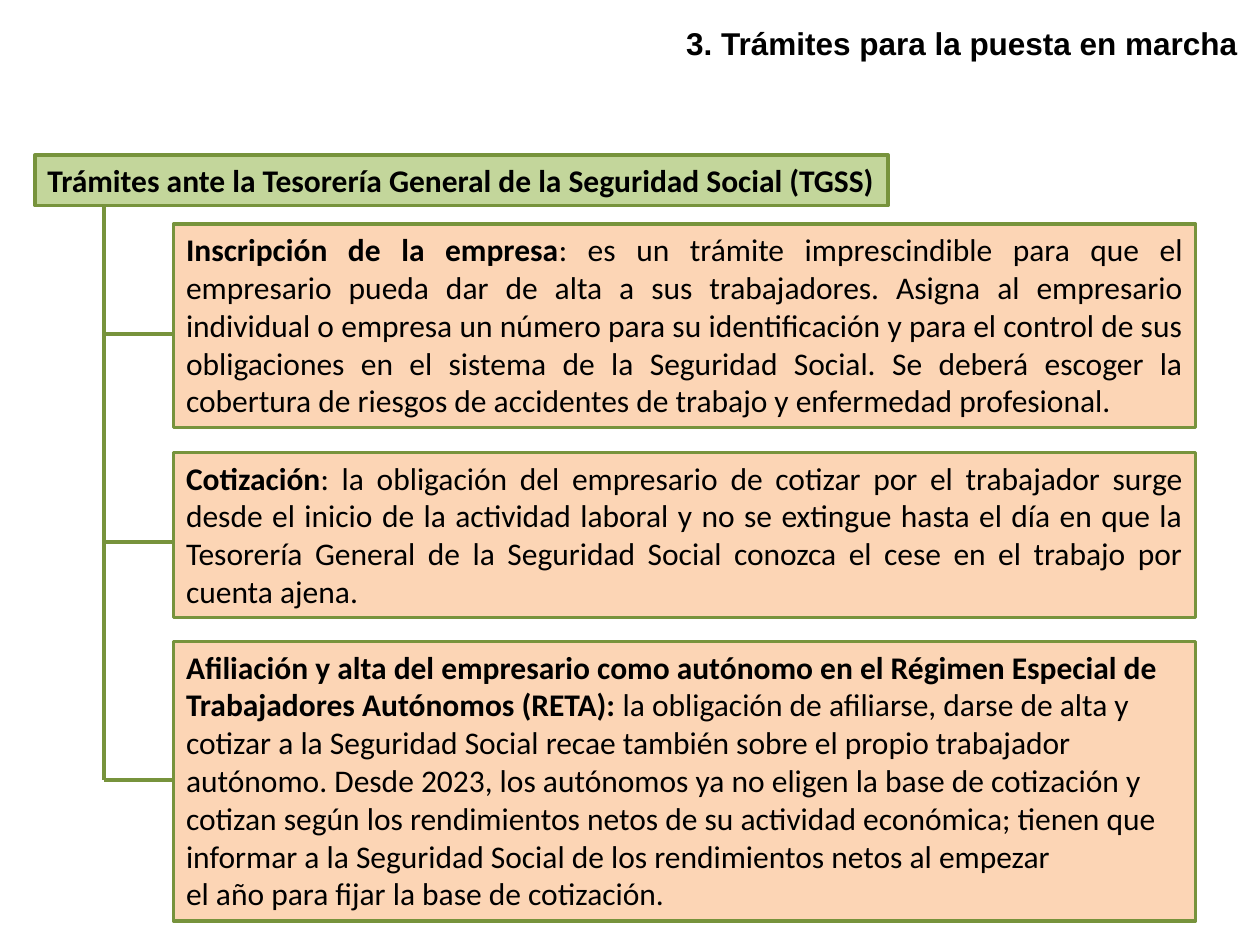
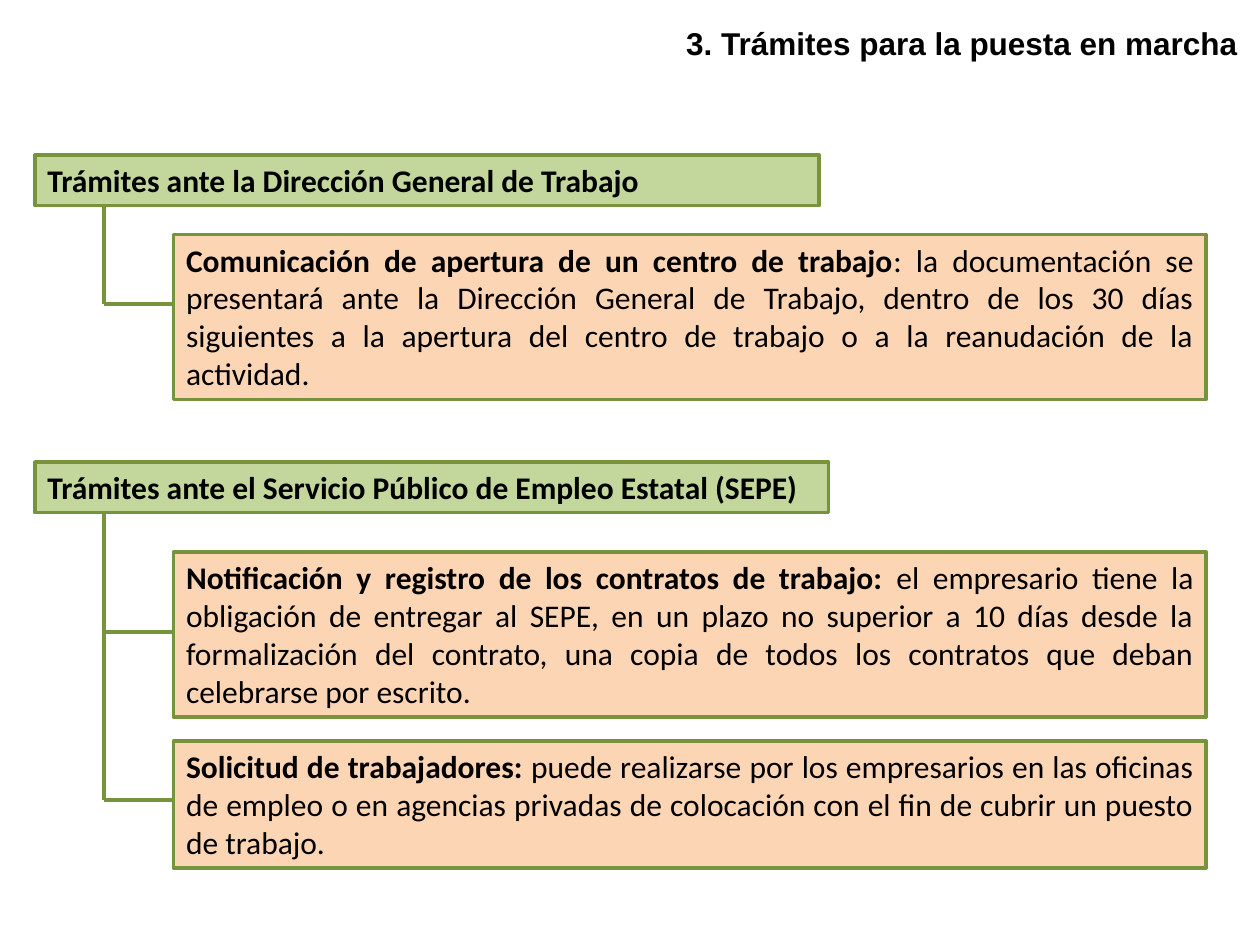
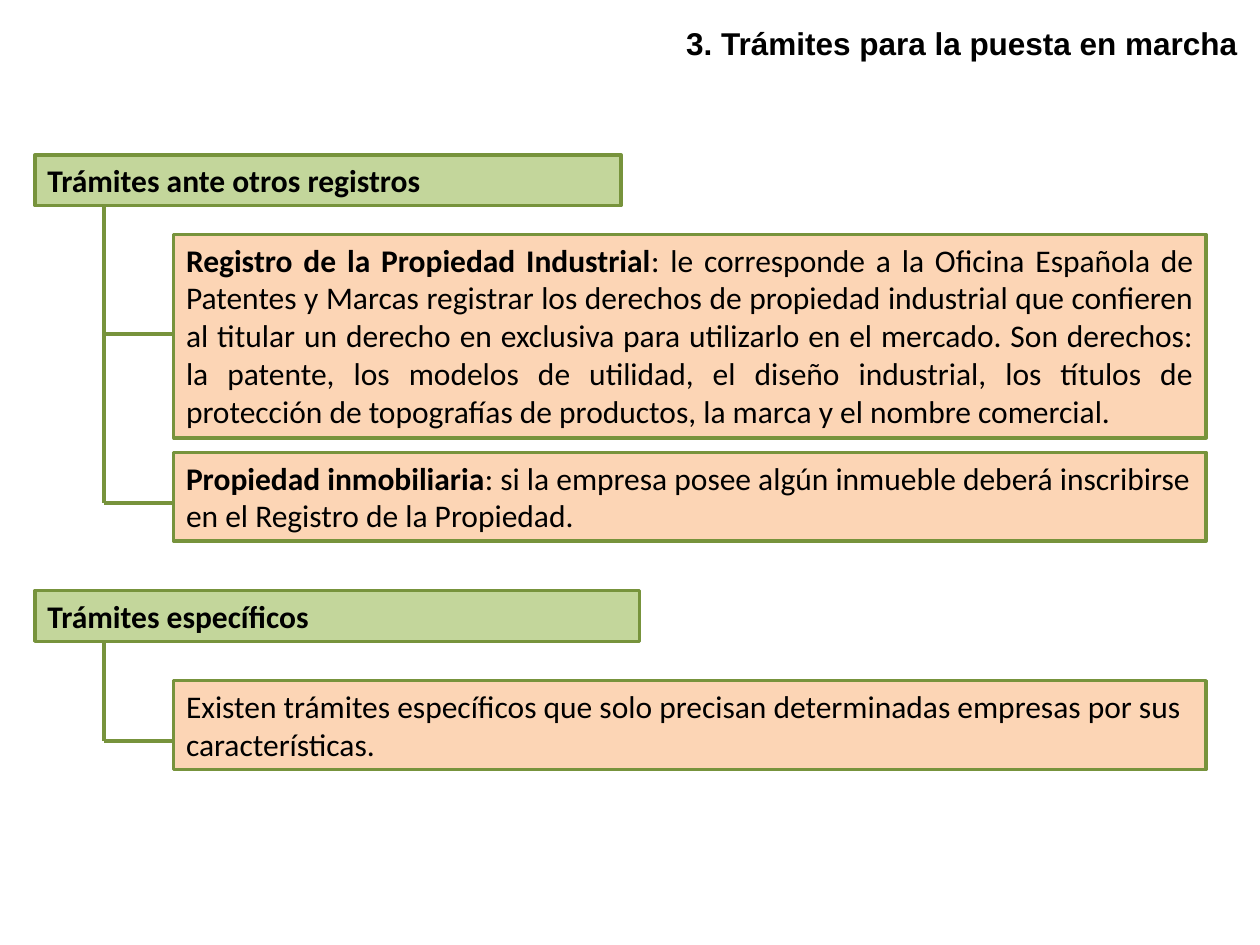
from dataclasses import dataclass

from lxml.etree import SubElement
from pptx import Presentation
from pptx.dml.color import RGBColor
from pptx.enum.shapes import MSO_CONNECTOR as Connector, MSO_SHAPE as Shape
from pptx.enum.text import MSO_ANCHOR as Anchor, MSO_AUTO_SIZE as AutoSize, PP_ALIGN as Align
from pptx.oxml.ns import qn
from pptx.slide import Slide
from pptx.text.text import Font, TextFrame
from pptx.util import Pt

COLORS = {
    "text": "000000",
    "heading": "C3D69B",
    "step": "FCD5B5",
    "border": "77933C",
}
TITLE = "3. Trámites para la puesta en marcha"
TITLE_FONT = "Arial"
BODY_FONT = "Calibri"
TEXT_SIZE = 18
LINE_HEIGHT = 21.8
VERTICAL_INSETS = 7.2
HEADING_LEFT = 20
TRUNK_X = 59.5
STEP_LEFT = 99.25


@dataclass(frozen=True)
class Step:
    top: float
    lines: int
    branch_y: float
    lead: str
    detail: str
    align: Align = Align.JUSTIFY


@dataclass(frozen=True)
class Procedure:
    top: float
    width: float
    heading: str
    steps: tuple[Step, ...]


@dataclass(frozen=True)
class Page:
    step_width: float
    procedures: tuple[Procedure, ...]


PAGES = (
    Page(584, (
        Procedure(88.5, 487.5, "Trámites ante la Tesorería General de la Seguridad Social (TGSS)", (
            Step(128, 5, 191, "Inscripción de la empresa",
                 ": es un trámite imprescindible para que el empresario pueda dar de alta a sus "
                 "trabajadores. Asigna al empresario individual o empresa un número para su "
                 "identificación y para el control de sus obligaciones en el sistema de la "
                 "Seguridad Social. Se deberá escoger la cobertura de riesgos de accidentes de "
                 "trabajo y enfermedad profesional."),
            Step(258.5, 4, 309.5, "Cotización",
                 ": la obligación del empresario de cotizar por el trabajador surge desde el "
                 "inicio de la actividad laboral y no se extingue hasta el día en que la "
                 "Tesorería General de la Seguridad Social conozca el cese en el trabajo por "
                 "cuenta ajena."),
            Step(366.5, 7, 445.5,
                 "Afiliación y alta del empresario como autónomo en el Régimen Especial de "
                 "Trabajadores Autónomos (RETA): ",
                 "la obligación de afiliarse, darse de alta y cotizar a la Seguridad Social "
                 "recae también sobre el propio trabajador autónomo. Desde 2023, los autónomos "
                 "ya no eligen la base de cotización y cotizan según los rendimientos netos de "
                 "su actividad económica; tienen que informar a la Seguridad Social de los "
                 "rendimientos netos al empezar\nel año para fijar la base de cotización.",
                 Align.LEFT),
        )),
    )),
    Page(590, (
        Procedure(88.5, 448, "Trámites ante la Dirección General de Trabajo", (
            Step(134, 4, 173.5, "Comunicación de apertura de un centro de trabajo",
                 ": la documentación se presentará ante la Dirección General de Trabajo, dentro "
                 "de los 30 días siguientes a la apertura del centro de trabajo o a la "
                 "reanudación de la actividad."),
        )),
        Procedure(264, 453.5, "Trámites ante el Servicio Público de Empleo Estatal (SEPE)", (
            Step(315.5, 4, 361, "Notificación y registro de los contratos de trabajo: ",
                 "el empresario tiene la obligación de entregar al SEPE, en un plazo no superior "
                 "a 10 días desde la formalización del contrato, una copia de todos los "
                 "contratos que deban celebrarse por escrito."),
            Step(423.5, 3, 457, "Solicitud de trabajadores: ",
                 "puede realizarse por los empresarios en las oficinas de empleo o en agencias "
                 "privadas de colocación con el fin de cubrir un puesto de trabajo."),
        )),
    )),
    Page(590, (
        Procedure(88.5, 335, "Trámites ante otros registros", (
            Step(134, 5, 191, "Registro de la Propiedad Industrial",
                 ": le corresponde a la Oficina Española de Patentes y Marcas registrar los "
                 "derechos de propiedad industrial que confieren al titular un derecho en "
                 "exclusiva para utilizarlo en el mercado. Son derechos: la patente, los modelos "
                 "de utilidad, el diseño industrial, los títulos de protección de topografías de "
                 "productos, la marca y el nombre comercial."),
            Step(258.5, 2, 287.5, "Propiedad inmobiliaria",
                 ": si la empresa posee algún inmueble deberá inscribirse en el Registro de la "
                 "Propiedad.", Align.LEFT),
        )),
        Procedure(337.5, 345.5, "Trámites específicos", (
            Step(389, 2, 423.5, "",
                 "Existen trámites específicos que solo precisan determinadas empresas por sus "
                 "características.", Align.LEFT),
        )),
    )),
)


def color(role: str) -> RGBColor:
    return RGBColor.from_string(COLORS[role])


def box_height(lines: int) -> float:
    return VERTICAL_INSETS + LINE_HEIGHT * lines


def style(font: Font, family: str, bold: bool) -> None:
    font.name = family
    font.size = Pt(TEXT_SIZE)
    font.bold = bold
    font.color.rgb = color("text")


def draw_title(slide: Slide) -> None:
    title = slide.shapes.add_textbox(Pt(385), Pt(11.5), Pt(335), Pt(26.5)).text_frame
    title.word_wrap = True
    title.vertical_anchor = Anchor.MIDDLE
    title.text = TITLE
    style(title.paragraphs[0].runs[0].font, TITLE_FONT, True)


def draw_box(slide: Slide, left: float, top: float, width: float, lines: int, role: str) -> TextFrame:
    box = slide.shapes.add_shape(
        Shape.RECTANGLE, Pt(left), Pt(top), Pt(width), Pt(box_height(lines)))
    box.shadow.inherit = False
    box.fill.solid()
    box.fill.fore_color.rgb = color(role)
    box.line.color.rgb = color("border")
    box.line.width = Pt(2)
    frame = box.text_frame
    frame.word_wrap = True
    frame.auto_size = AutoSize.SHAPE_TO_FIT_TEXT
    frame.vertical_anchor = Anchor.TOP
    return frame


def write(frame: TextFrame, lead: str, detail: str, align: Align) -> None:
    frame.text = detail
    opening = frame.paragraphs[0]
    if lead:
        first_detail = opening.text
        opening.text = lead
        opening.add_run().text = first_detail
    for paragraph in frame.paragraphs:
        paragraph.alignment = align
        for run in paragraph.runs:
            style(run.font, BODY_FONT, bool(lead) and run.text == lead)


def draw_line(slide: Slide, x1: float, y1: float, x2: float, y2: float) -> None:
    line = slide.shapes.add_connector(Connector.STRAIGHT, Pt(x1), Pt(y1), Pt(x2), Pt(y2))
    line.line.color.rgb = color("border")
    line.line.width = Pt(2.25)
    SubElement(line._element.spPr, qn("a:effectLst"))


def draw_procedure(slide: Slide, procedure: Procedure, step_width: float) -> None:
    heading = draw_box(slide, HEADING_LEFT, procedure.top, procedure.width, 1, "heading")
    write(heading, procedure.heading, "", Align.LEFT)
    for step in procedure.steps:
        frame = draw_box(slide, STEP_LEFT, step.top, step_width, step.lines, "step")
        write(frame, step.lead, step.detail, step.align)
    trunk_top = procedure.top + box_height(1)
    draw_line(slide, TRUNK_X, trunk_top, TRUNK_X, procedure.steps[-1].branch_y)
    for step in procedure.steps:
        draw_line(slide, TRUNK_X, step.branch_y, STEP_LEFT, step.branch_y)


def main() -> None:
    deck = Presentation()
    deck.slide_width, deck.slide_height = Pt(720), Pt(540)
    for page in PAGES:
        slide = deck.slides.add_slide(deck.slide_layouts[6])
        draw_title(slide)
        for procedure in page.procedures:
            draw_procedure(slide, procedure, page.step_width)
    deck.save("out.pptx")


if __name__ == "__main__":
    main()
